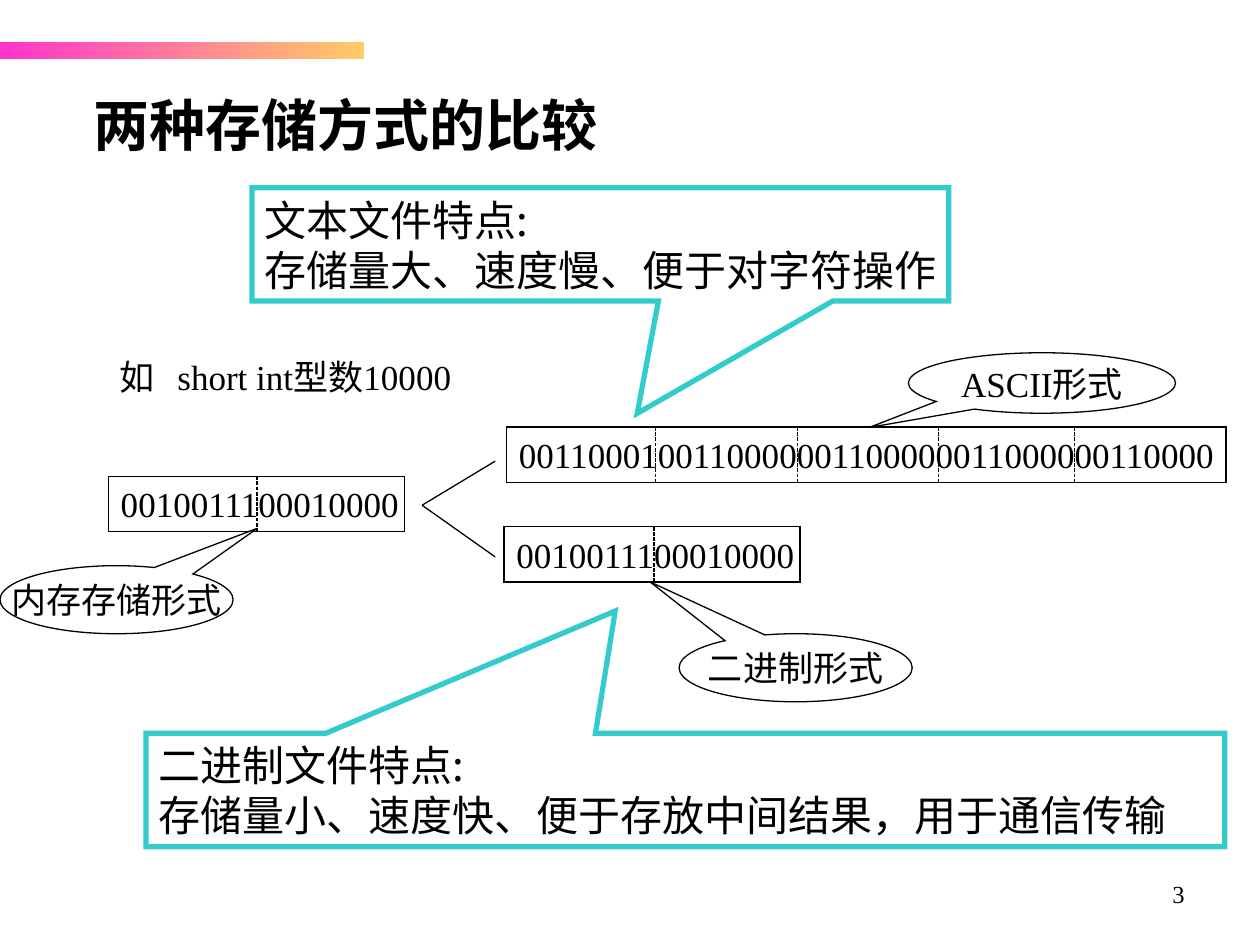
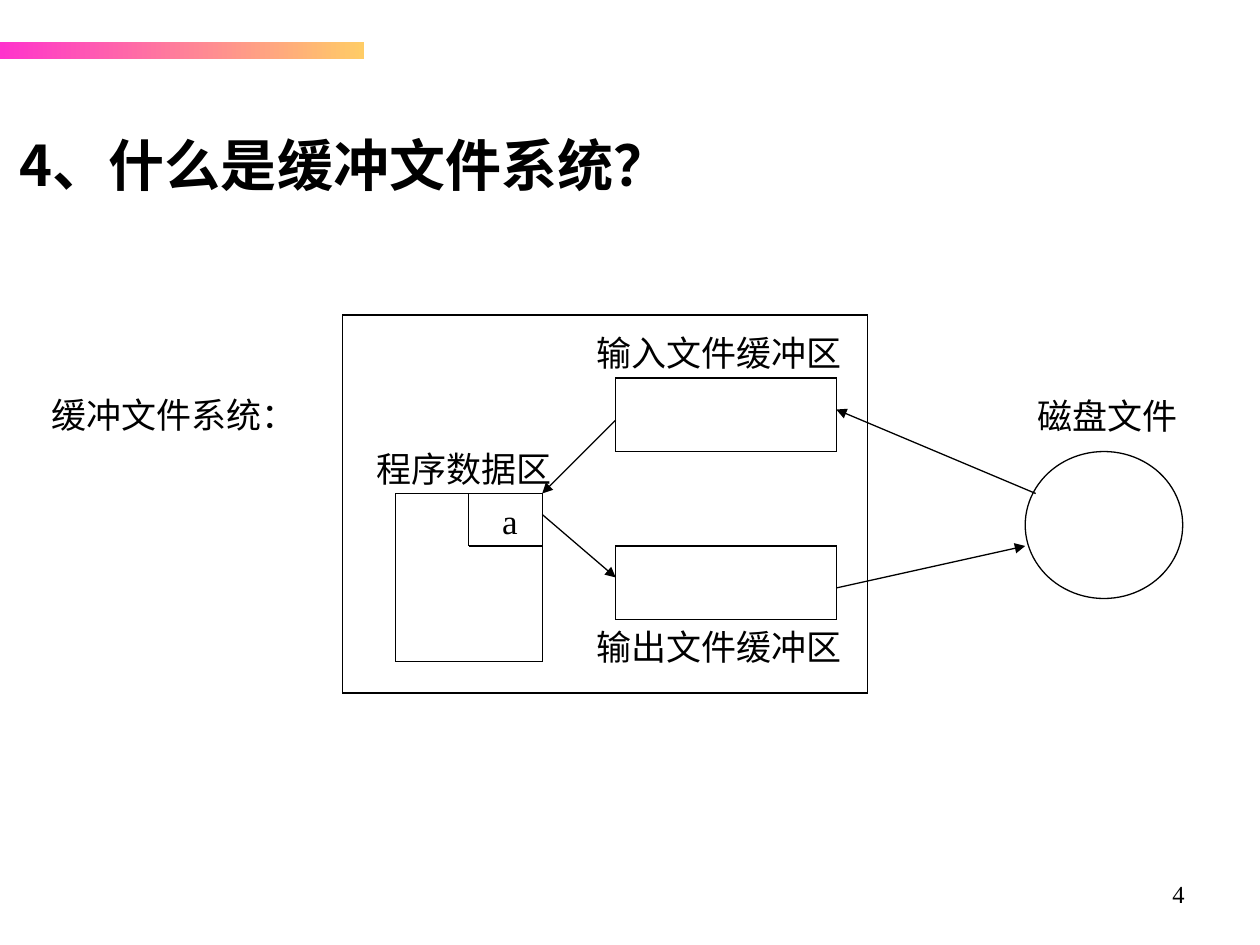
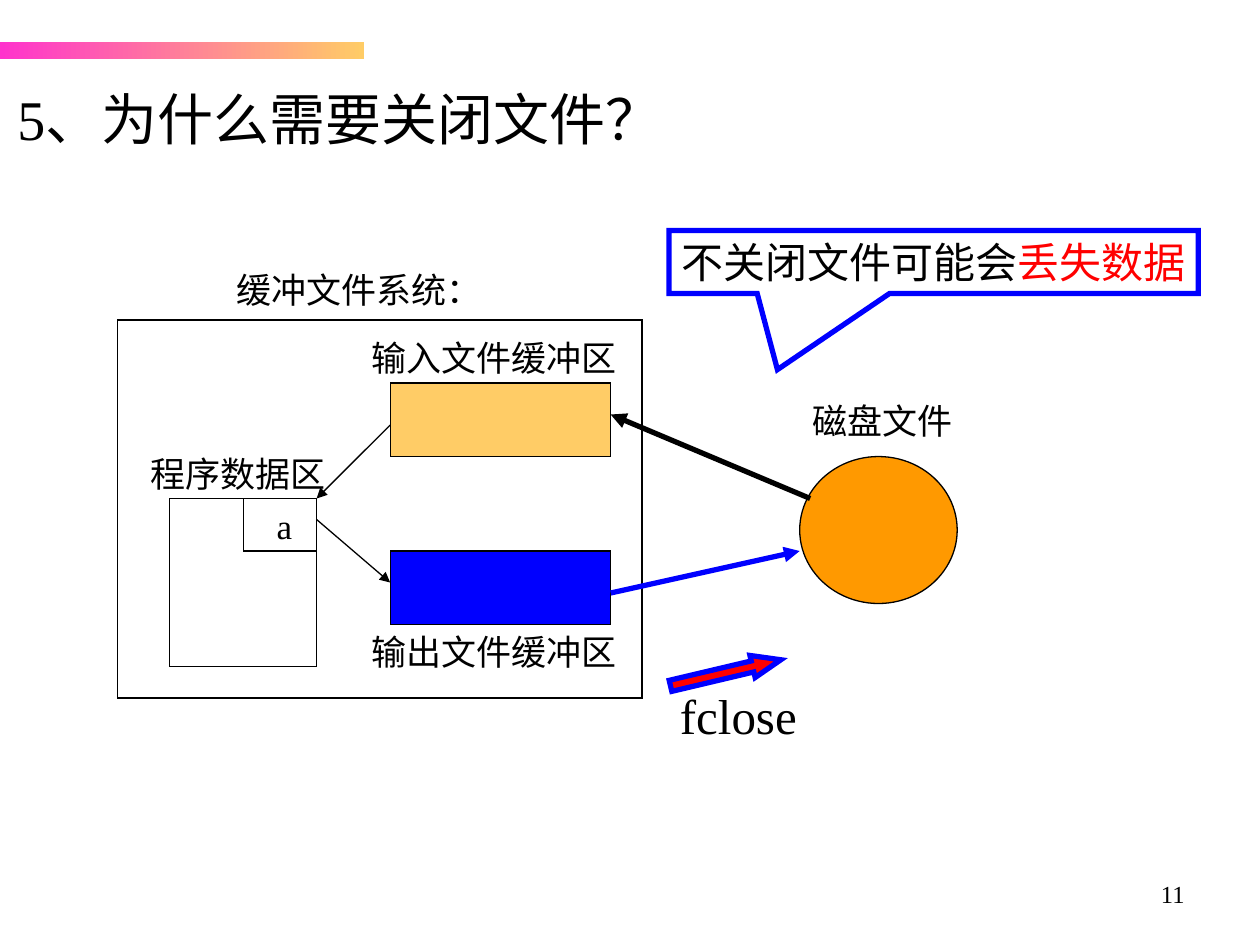
from lxml import etree
from pptx import Presentation
from pptx import util as u
from pptx.dml.color import RGBColor
from pptx.enum import dml, shapes, text
from pptx.oxml.ns import qn

WIDTH, HEIGHT = 10, 7.5
LATIN, CJK = "Times New Roman", "Noto Sans CJK SC"
COLOURS = {
    "ink": "000000", "paper": "FFFFFF", "pink": "FF33CC", "sand": "FFCC66",
    "teal": "33CCCC", "blue": "0000FF", "orange": "FF9900", "red": "FF0000",
}
KIND = shapes.MSO_SHAPE
LEFT, CENTER, RIGHT = text.PP_ALIGN.LEFT, text.PP_ALIGN.CENTER, text.PP_ALIGN.RIGHT
TOP, MIDDLE = text.MSO_ANCHOR.TOP, text.MSO_ANCHOR.MIDDLE

# Slide 1: bit strings, with the x of each byte boundary
CELL_HEIGHT = 0.44
SHORT_BITS = "0010011100010000"
BIT_ROWS = [
    (SHORT_BITS, 0.86, 3.78, 2.35, [2.04]),
    (SHORT_BITS, 4, 4.18, 2.35, [5.19]),
    ("0011000100110000001100000011000000110000", 4.02, 3.39, 5.71, [5.2, 6.33, 7.45, 8.53]),
]
FORMS = [
    ("内存存储形式", (0, 4.49, 1.85, 0.54), (0.604, -1.05)),
    ("二进制形式", (5.39, 5.03, 1.85, 0.54), (-0.625, -1.262)),
    ("ASCII形式", (7.21, 2.8, 2.12, 0.48), (-0.647, 0.735)),
]
BRANCH_START, BRANCH_ENDS = (3.35, 4.01), [(3.93, 3.66), (3.93, 4.42)]
FEATURES = [
    (["文本文件特点:", "存储量大、速度慢、便于对字符操作"],
     (2, 1.49, 5.53, 0.9), (0.053, 1.49)),
    (["二进制文件特点:", "存储量小、速度快、便于存放中间结果，用于通信传输"],
     (1.16, 5.82, 8.56, 0.9), (-0.065, -1.578)),
]

# Slides 2 and 3: buffer diagram on a grid of 1/12 inch
UNIT = 1 / 12
AREAS = {
    "memory": (KIND.RECTANGLE, (0, 0, 50, 36)),
    "program": (KIND.RECTANGLE, (5, 17, 14, 16)),
    "input": (KIND.RECTANGLE, (26, 6, 21, 7)),
    "output": (KIND.RECTANGLE, (26, 22, 21, 7)),
    "disk": (KIND.OVAL, (65, 13, 15, 14)),
}
VARIABLE_EDGES = [((12, 17), (12, 22)), ((12, 22), (19, 22))]
AREA_LABELS = [
    ("磁盘文件", 65, 7, 1.31), ("输出文件缓冲区", 23, 29, 2.15),
    ("输入文件缓冲区", 23, 1, 2.15), ("程序数据区", 2, 12, 1.59), ("a", 14, 17, 0.32),
]
FLOWS = {
    "load": ((26, 10), (19, 17)), "store": ((19, 19), (26, 25)),
    "read": ((66, 17), (47, 9)), "flush": ((47, 26), (65, 22)),
}
SYSTEM_LABEL = "缓冲文件系统："


def rgb(name):
    return RGBColor.from_string(COLOURS[name])


def write(shape, lines, size=20, font=LATIN, bold=False, align=LEFT, anchor=MIDDLE,
          wrap=False, tab=None):
    """Fill a shape with lines; a line is a string or a list of (text, colour) runs."""
    frame = shape.text_frame
    frame.word_wrap = wrap
    frame.vertical_anchor = anchor
    for number, line in enumerate([lines] if isinstance(lines, str) else lines):
        paragraph = frame.paragraphs[0] if number == 0 else frame.add_paragraph()
        paragraph.alignment = align
        if tab:
            stops = etree.SubElement(paragraph._p.get_or_add_pPr(), qn("a:tabLst"))
            etree.SubElement(stops, qn("a:tab"), pos=str(u.Inches(tab)), algn="l")
        for words, colour in [(line, "ink")] if isinstance(line, str) else line:
            run = paragraph.add_run()
            run.text = words
            run.font.size, run.font.name, run.font.bold = u.Pt(size), font, bold
            run.font.color.rgb = rgb(colour)
            east_asian = etree.SubElement(run._r.get_or_add_rPr(), qn("a:ea"))
            east_asian.set("typeface", CJK)


def label(slide, words, box, anchor=TOP, **style):
    write(slide.shapes.add_textbox(*map(u.Inches, box)), words, anchor=anchor, **style)


def draw(slide, kind, box, fill=None, line="ink", weight=0.75, adjust=()):
    shape = slide.shapes.add_shape(kind, *map(u.Inches, box))
    shape.shadow.inherit = False
    if fill:
        shape.fill.solid()
        shape.fill.fore_color.rgb = rgb(fill)
    else:
        shape.fill.background()
    if line:
        shape.line.color.rgb = rgb(line)
        shape.line.width = u.Pt(weight)
        etree.SubElement(shape.line._get_or_add_ln(), qn("a:miter"), lim="800000")
    else:
        shape.line.fill.background()
    for index, value in enumerate(adjust):
        shape.adjustments[index] = value
    return shape


def connect(slide, start, end, colour="ink", weight=0.75, arrow=False, dashed=False):
    line = slide.shapes.add_connector(
        shapes.MSO_CONNECTOR.STRAIGHT, *map(u.Inches, (*start, *end)))
    line.line.color.rgb = rgb(colour)
    line.line.width = u.Pt(weight)
    if dashed:
        line.line.dash_style = dml.MSO_LINE.SQUARE_DOT
    if arrow:
        etree.SubElement(line.line._get_or_add_ln(), qn("a:tailEnd"), type="triangle")
    etree.SubElement(line._element.spPr, qn("a:effectLst"))


def new_slide(deck, number, title, box, **style):
    """Add a blank slide with the shared band, page number and title."""
    slide = deck.slides.add_slide(deck.slide_layouts[6])
    band = draw(slide, KIND.RECTANGLE, (0, 0.33, 2.89, 0.14), line=None)
    band.fill.gradient()
    band.fill.gradient_angle = 0
    for stop, colour in zip(band.fill.gradient_stops, ("pink", "sand")):
        stop.color.rgb = rgb(colour)
    label(slide, str(number), (7.17, 6.93, 2.33, 0.52), size=14, align=RIGHT, wrap=True)
    label(slide, title, box, size=32, wrap=True, **style)
    return slide


def buffer_diagram(slide, left, top, fills=None, flow_styles=None):
    fills, flow_styles = fills or {}, flow_styles or {}

    def place(point):
        return left + point[0] * UNIT, top + point[1] * UNIT

    for area, (kind, (column, row, columns, rows)) in AREAS.items():
        box = (*place((column, row)), columns * UNIT, rows * UNIT)
        draw(slide, kind, box, fill=fills.get(area))
    for start, end in VARIABLE_EDGES:
        connect(slide, place(start), place(end))
    for words, column, row, width in AREA_LABELS:
        label(slide, words, (*place((column, row)), width, 0.44))
    for flow, (start, end) in FLOWS.items():
        connect(slide, place(start), place(end), arrow=True, **flow_styles.get(flow, {}))


def storage_slide(deck):
    slide = new_slide(deck, 3, "两种存储方式的比较", (0.64, 0.67, 5.09, 0.64), bold=True)
    label(slide, "如\tshort int型数10000", (0.85, 2.77, 2.97, 0.44), anchor=MIDDLE, tab=0.46)
    for bits, left, top, width, boundaries in BIT_ROWS:
        row = draw(slide, KIND.RECTANGLE, (left, top, width, CELL_HEIGHT), fill="paper")
        write(row, bits)
        for x in boundaries:
            connect(slide, (x, top), (x, top + CELL_HEIGHT), dashed=True)
    for words, box, pointer in FORMS:
        form = draw(slide, KIND.OVAL_CALLOUT, box, fill="paper", adjust=pointer)
        write(form, words, align=CENTER)
    for end in BRANCH_ENDS:
        connect(slide, BRANCH_START, end)
    for lines, box, pointer in FEATURES:
        feature = draw(slide, KIND.RECTANGULAR_CALLOUT, box, fill="paper", line="teal",
                       weight=3, adjust=pointer)
        write(feature, lines, size=24, font=CJK, wrap=True)


def buffer_slide(deck):
    slide = new_slide(deck, 4, "4、什么是缓冲文件系统？", (0.06, 0.99, 9.57, 0.64),
                      font=CJK, bold=True)
    buffer_diagram(slide, 2.72, 2.5)
    label(slide, SYSTEM_LABEL, (0.31, 3.07, 2.15, 0.44))


def closing_slide(deck):
    slide = new_slide(deck, 11, "5、为什么需要关闭文件？", (0.04, 0.62, 8.02, 0.64))
    buffer_diagram(
        slide, 0.93, 2.54,
        fills={"input": "sand", "output": "blue", "disk": "orange"},
        flow_styles={"read": {"weight": 3}, "flush": {"weight": 3, "colour": "blue"}})
    label(slide, SYSTEM_LABEL, (1.78, 2.08, 2.15, 0.44))
    warning = draw(slide, KIND.RECTANGULAR_CALLOUT, (5.31, 1.83, 4.2, 0.5), fill="paper",
                   line="blue", weight=3, adjust=(-0.295, 1.708))
    write(warning, [[("不关闭文件可能会", "ink"), ("丢失数据", "red")]],
          size=24, font=CJK, align=CENTER)
    label(slide, "fclose", (5.2, 5.39, 1.32, 0.57), size=28, align=CENTER, anchor=MIDDLE)
    close_arrow = draw(slide, KIND.RIGHT_ARROW, (5.31, 5.25, 0.9, 0.18), fill="red",
                       line="blue", weight=3, adjust=(0.5, 1.283))
    close_arrow.rotation = 346.7


def main():
    deck = Presentation()
    deck.slide_width, deck.slide_height = u.Inches(WIDTH), u.Inches(HEIGHT)
    storage_slide(deck)
    buffer_slide(deck)
    closing_slide(deck)
    deck.save("out.pptx")


if __name__ == "__main__":
    main()
